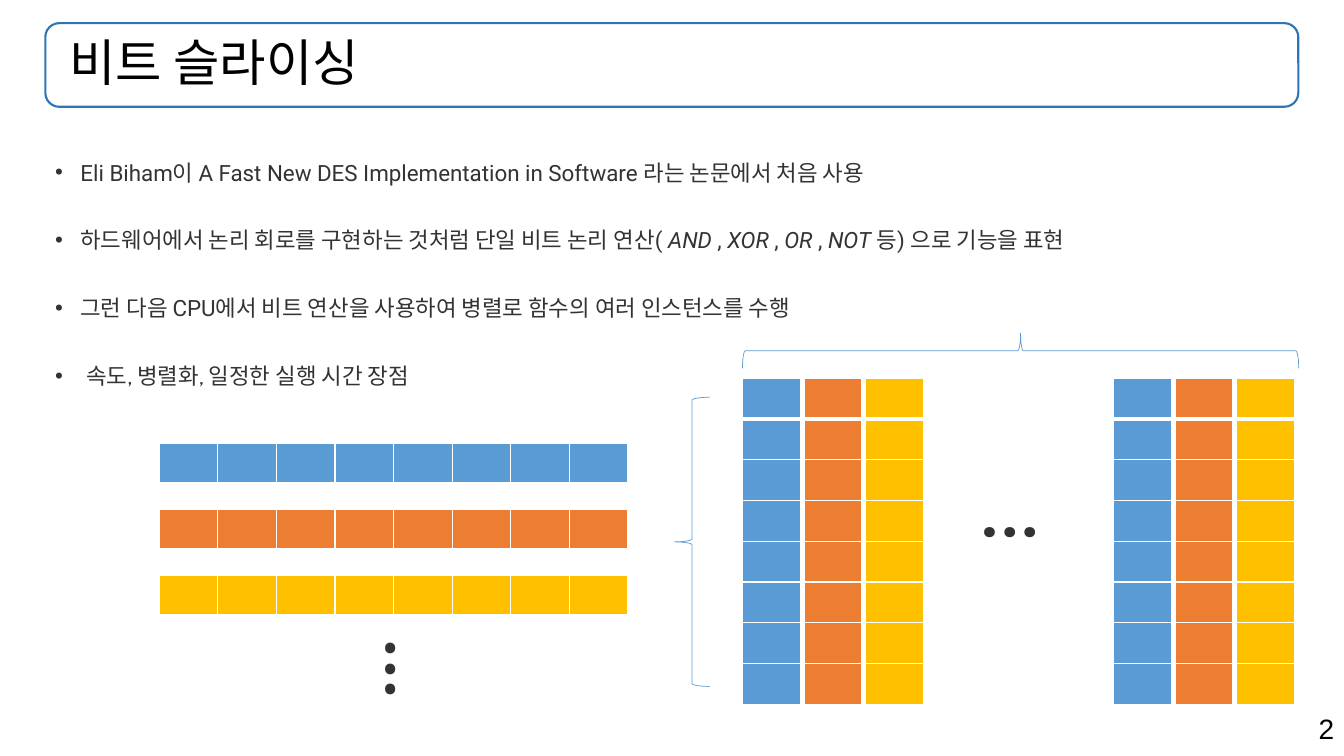
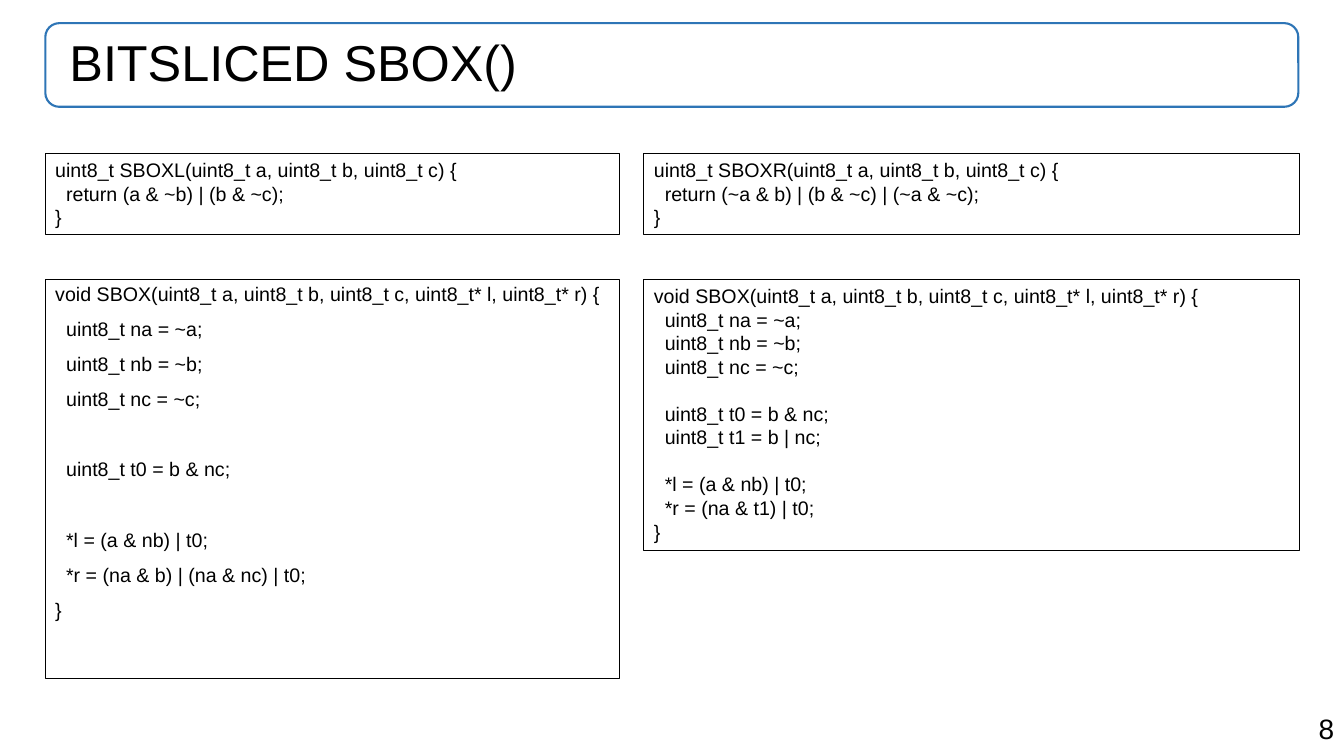
from lxml.etree import SubElement as Sub
from pptx import Presentation
from pptx.dml.color import RGBColor
from pptx.enum.shapes import MSO_SHAPE as Kind
from pptx.enum.text import MSO_ANCHOR as Anchor, PP_ALIGN as Align
from pptx.oxml.ns import qn
from pptx.util import Pt

BLUE, ORANGE, GOLD = HUES = ("5B9BD5", "ED7D31", "FFC000")
FRAME, BLACK, DARK, WHITE = "2E75B6", "000000", "333333", "FFFFFF"
LEFT, WIDE = 32.4, 895
CELL = 29.16


def rgb(code):
    """Turn a hex string into a colour."""
    return RGBColor.from_string(code)


class Deck:
    """Holds the style and the current slide."""

    def __init__(self):
        """Start an empty wide deck."""
        self.prs = Presentation()
        self.prs.slide_width, self.prs.slide_height = Pt(960), Pt(540)

    def run(self, para, text, size, hue=BLACK, face="Arial", bold=None, slant=None):
        """Add one styled run."""
        run = para.add_run()
        run.text = text
        font = run.font
        font.size, font.name, font.bold, font.italic = Pt(size), face, bold, slant
        font.color.rgb = rgb(hue)

    def shape(self, kind, x, y, w, h, hue, line, turn=0):
        """Draw an outlined preset shape."""
        form = self.slide.shapes.add_shape(kind, Pt(x), Pt(y), Pt(w), Pt(h))
        form.shadow.inherit = False
        form.fill.background()
        form.line.color.rgb, form.line.width = rgb(hue), Pt(line)
        form.rotation = turn
        return form

    def box(self, x, y, w, h, turn=0):
        """Add a wrapping text box and return its frame."""
        form = self.slide.shapes.add_textbox(Pt(x), Pt(y), Pt(w), Pt(h))
        form.rotation = turn
        form.text_frame.word_wrap = True
        return form.text_frame

    def page(self, title, num):
        """Open a slide with framed title and page number."""
        self.slide = self.prs.slides.add_slide(self.prs.slide_layouts[5])
        area = LEFT, 16.56, WIDE, 59.76
        frame = self.shape(Kind.ROUNDED_RECTANGLE, *area, FRAME, 1.5)
        head = self.slide.shapes.title
        frame.element.addnext(head.element)
        head.left, head.top, head.width, head.height = map(Pt, area)
        text = head.text_frame
        text.word_wrap, text.vertical_anchor = True, Anchor.MIDDLE
        text.margin_left = Pt(17.2)
        para = text.paragraphs[0]
        para.alignment, para.line_spacing = Align.LEFT, 0.9
        self.run(para, title, 36)
        para = self.box(679, 504.72, 281, 31.68).paragraphs[0]
        para.alignment = Align.RIGHT
        self.run(para, str(num), 20)

    def points(self, x, y, w, h, items):
        """Write bullets; text between asterisks is italic."""
        text = self.box(x, y, w, h)
        for i, (face, inset, item) in enumerate(items):
            para = text.add_paragraph() if i else text.paragraphs[0]
            props = para._p.get_or_add_pPr()
            props.set("marL", str(Pt(inset)))
            props.set("indent", str(-Pt(inset)))
            Sub(props, qn("a:buFont"), typeface="Arial")
            Sub(props, qn("a:buChar"), char="•")
            para.line_spacing, para.space_before = 2.0, Pt(10 if i else 0)
            for j, part in enumerate(item.split("*")):
                self.run(para, part, 16, DARK, face, slant=j % 2 == 1)

    def grid(self, x, y, rows, cols, wide, hue):
        """Draw a one-colour table with white rules."""
        table = self.slide.shapes.add_table(
            rows, cols, Pt(x), Pt(y), Pt(wide * cols), Pt(CELL * rows)).table
        table.first_row = table.horz_banding = False
        for col in table.columns:
            col.width = Pt(wide)
        for i, row in enumerate(table.rows):
            row.height = Pt(CELL)
            for cell in row.cells:
                cell.margin_top = cell.margin_bottom = 0
                props = cell._tc.get_or_add_tcPr()
                for side in "LRTB":
                    thick = (side, i) in (("B", 0), ("T", 1))
                    rule = Sub(props, qn("a:ln" + side), w=str(Pt(3 if thick else 1)))
                    Sub(Sub(rule, qn("a:solidFill")), qn("a:srgbClr"), val=WHITE)
                cell.fill.solid()
                cell.fill.fore_color.rgb = rgb(hue)

    def dots(self, x, y, turn=0):
        """Write an ellipsis of large dots."""
        text = self.box(x, y, 71.28, 65.52, turn)
        self.run(text.paragraphs[0], "···", 48, DARK, "Roboto", bold=True)

    def brace(self, x, y, h, turn):
        """Draw a thin turned brace."""
        self.shape(Kind.RIGHT_BRACE, x, y, 25.2, h, BLUE, 0.5, turn)

    def code(self, x, y, w, h, source, lead=1.0, gap=0):
        """Write framed code; an empty line becomes space before the next."""
        text = self.shape(Kind.RECTANGLE, x, y, w, h, BLACK, 0.75).text_frame
        text.word_wrap, text.vertical_anchor = True, Anchor.TOP
        para, extra = text.paragraphs[0], 0
        for i, line in enumerate(source.strip().split("\n")):
            if not line:
                extra = 16.8 * lead + gap
                continue
            para = text.add_paragraph() if i else para
            para.alignment, para.line_spacing = Align.LEFT, lead
            para.space_before = Pt(gap + extra if i else 0)
            self.run(para, line, 14)
            extra = 0


POINTS = [
    ("Roboto", 18, "Eli Biham이 A Fast New DES Implementation in Software 라는 논문에서 처음 사용"),
    ("Roboto", 18, "하드웨어에서 논리 회로를 구현하는 것처럼 단일 비트 논리 연산( "
     "*AND *, *XOR *, *OR *, *NOT* 등) 으로 기능을 표현"),
    ("Roboto", 18, "그런 다음 CPU에서 비트 연산을 사용하여 병렬로 함수의 여러 인스턴스를 수행"),
    ("Cabin", 22.3, "속도, 병렬화, 일정한 실행 시간 장점"),
]

SBOXL = """
uint8_t SBOXL(uint8_t a, uint8_t b, uint8_t c) {
  return (a & ~b) | (b & ~c);
}
"""

SBOXR = """
uint8_t SBOXR(uint8_t a, uint8_t b, uint8_t c) {
  return (~a & b) | (b & ~c) | (~a & ~c);
}
"""

START = """
void SBOX(uint8_t a, uint8_t b, uint8_t c, uint8_t* l, uint8_t* r) {
  uint8_t na = ~a;
  uint8_t nb = ~b;
  uint8_t nc = ~c;

  uint8_t t0 = b & nc;
"""

PLAIN = START + """
  *l = (a & nb) | t0;
  *r = (na & b) | (na & nc) | t0;
}
"""

SHORT = START + """  uint8_t t1 = b | nc;

  *l = (a & nb) | t0;
  *r = (na & t1) | t0;
}
"""


def main():
    """Build both slides."""
    deck = Deck()
    deck.page("비트 슬라이싱", 2)
    deck.points(LEFT, 90.72, WIDE, 398, POINTS)
    for i, hue in enumerate(HUES):
        deck.grid(113.76, 316.8 + 47.16 * i, 1, 8, 41.85, hue)
        for x in (530.64, 795.6):
            deck.grid(x + 43.92 * i, 270, 8, 1, 41, hue)
    deck.dots(245.5, 452.2, 90)
    deck.dots(692.6, 345.6)
    deck.brace(716.4, 51.84, 397.4, 270)
    deck.brace(481.7, 283.7, 206.6, 180)

    deck.page("BITSLICED SBOX()", 8)
    right, top, low = 460, 109.4, 199.4
    deck.code(LEFT, low, 410.4, 285, PLAIN, 0.9, 10)
    deck.code(right, low, 468, 193.7, SHORT)
    deck.code(LEFT, top, 410.4, 58.3, SBOXL)
    deck.code(right, top, 468, 58.3, SBOXR)
    deck.prs.save("out.pptx")


if __name__ == "__main__":
    main()
